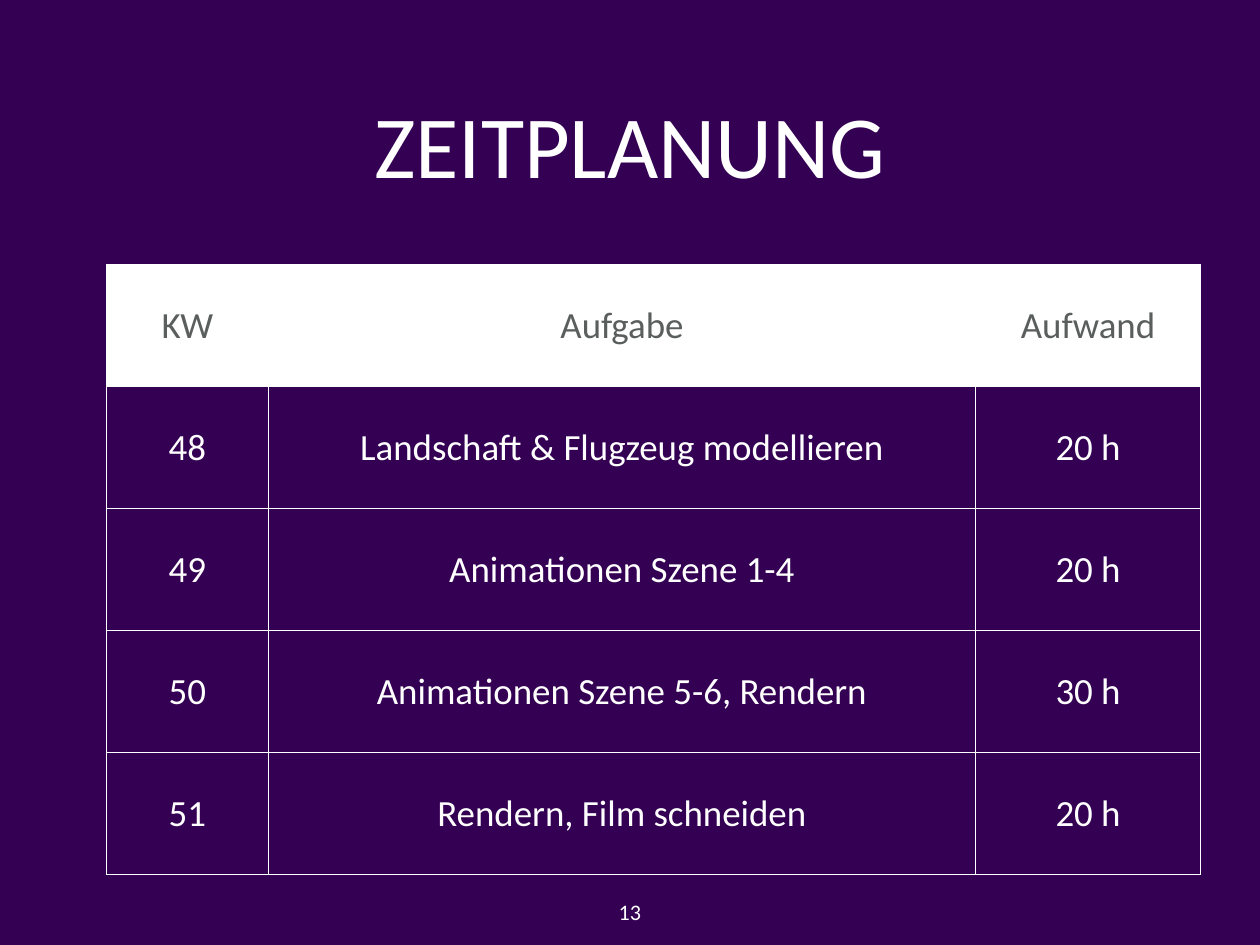
from lxml.etree import SubElement
from pptx import Presentation
from pptx.dml.color import RGBColor
from pptx.enum.text import MSO_ANCHOR, PP_ALIGN
from pptx.oxml.ns import qn
from pptx.util import Inches, Pt

COLORS = {"background": "340053", "light": "FFFFFF", "header": "5A5F5E"}
FONT = "Calibri"
CELL_MARGIN = Inches(0.06)
BORDER_WIDTH = Pt(1)

HEADER = ("KW", "Aufgabe", "Aufwand")
TASKS = (
    ("48", "Landschaft & Flugzeug modellieren", "20 h"),
    ("49", "Animationen Szene 1-4", "20 h"),
    ("50", "Animationen Szene 5-6, Rendern", "30 h"),
    ("51", "Rendern, Film schneiden", "20 h"),
)


def rgb(name):
    return RGBColor.from_string(COLORS[name])


class Deck:
    """Style and current slide; boxes are given in percent of the slide."""

    def __init__(self, width, height):
        self.prs = Presentation()
        self.prs.slide_width = Inches(width)
        self.prs.slide_height = Inches(height)

    def add_slide(self):
        self.s = self.prs.slides.add_slide(self.prs.slide_layouts[6])
        fill = self.s.background.fill
        fill.solid()
        fill.fore_color.rgb = rgb("background")

    def box(self, left, top, width, height):
        w, h = self.prs.slide_width, self.prs.slide_height
        return [round(share * side / 100)
                for share, side in zip((left, top, width, height), (w, h, w, h))]

    def add_text_run(self, tf, text, size, color):
        p = tf.paragraphs[0]
        p.alignment = PP_ALIGN.CENTER
        r = p.add_run()
        r.text = text
        r.font.name = FONT
        r.font.size = Pt(size)
        r.font.bold = False
        r.font.color.rgb = rgb(color)

    def text(self, box, text, size, anchor=MSO_ANCHOR.TOP, wrap=True):
        tf = self.s.shapes.add_textbox(*self.box(*box)).text_frame
        tf.margin_left = tf.margin_top = tf.margin_right = tf.margin_bottom = 0
        tf.vertical_anchor = anchor
        tf.word_wrap = wrap
        self.add_text_run(tf, text, size, "light")

    def border(self, cell):
        tc_pr = cell._tc.get_or_add_tcPr()
        for side in ("a:lnL", "a:lnR", "a:lnT", "a:lnB"):
            ln = SubElement(tc_pr, qn(side), w=str(BORDER_WIDTH))
            solid = SubElement(ln, qn("a:solidFill"))
            SubElement(solid, qn("a:srgbClr"), val=COLORS["light"])

    def cell(self, cell, text, size, is_header):
        cell.margin_left = cell.margin_right = CELL_MARGIN
        cell.margin_top = cell.margin_bottom = CELL_MARGIN
        cell.vertical_anchor = MSO_ANCHOR.MIDDLE
        self.border(cell)
        if is_header:
            cell.fill.solid()
            cell.fill.fore_color.rgb = rgb("light")
        else:
            cell.fill.background()
        self.add_text_run(cell.text_frame, text, size,
                          "header" if is_header else "light")

    def table(self, box, rows, shares, size):
        left, top, width, height = self.box(*box)
        table = self.s.shapes.add_table(
            len(rows), len(shares), left, top, width, height).table
        table.first_row = table.horz_banding = False
        for column, share in zip(table.columns, shares):
            column.width = round(width * share / sum(shares))
        for i, row in enumerate(rows):
            for j, text in enumerate(row):
                self.cell(table.cell(i, j), text, size, is_header=i == 0)


def main():
    deck = Deck(14.22, 10.67)
    deck.add_slide()

    # Title
    deck.text((2.74, 2.62, 94.51, 25.02), "ZEITPLANUNG", 72, MSO_ANCHOR.MIDDLE)

    # Slide number
    deck.text((48.66, 95.03, 2.67, 3.66), "13", 18, wrap=False)

    # Schedule
    deck.table((8.44, 28.02, 86.85, 64.57), (HEADER, *TASKS),
               shares=(1.83, 7.98, 2.54), size=30)

    deck.prs.save("out.pptx")


if __name__ == "__main__":
    main()
